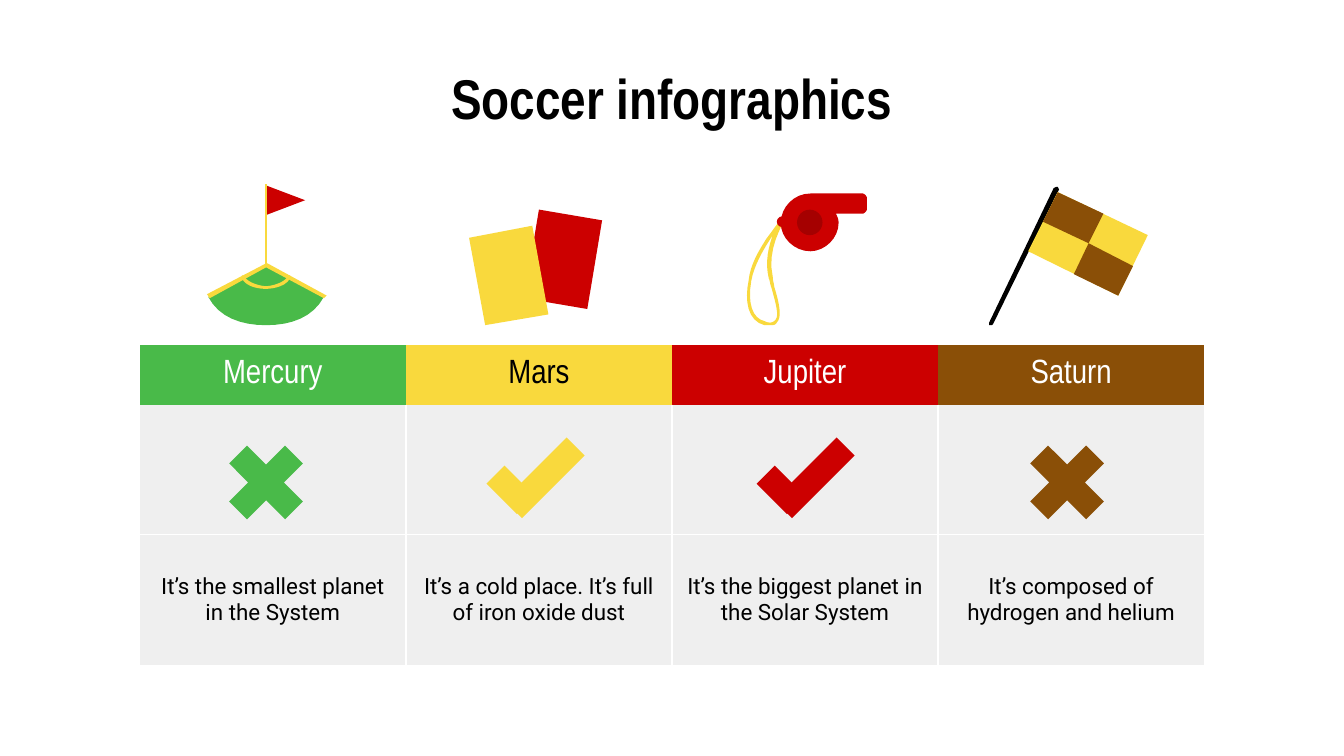
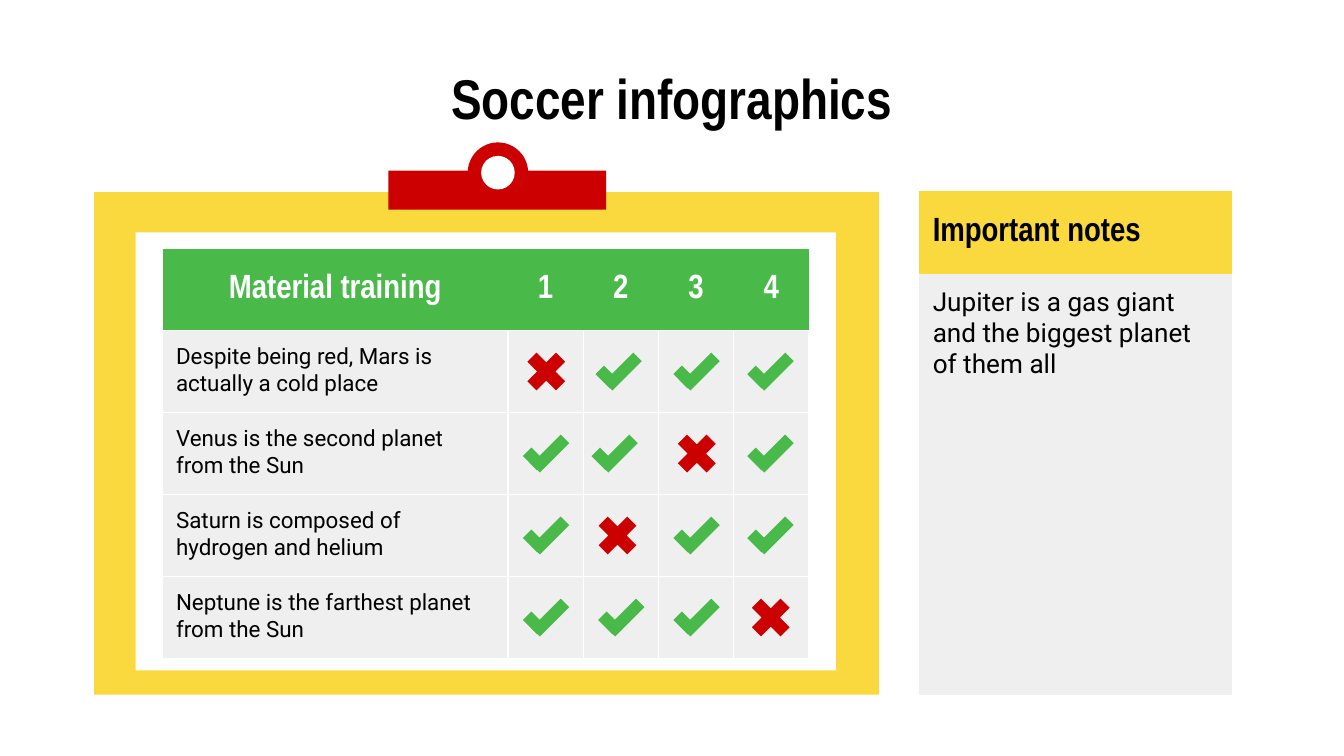
"""Build two soccer infographic slides: a planet comparison and a training clipboard."""
from dataclasses import dataclass
from lxml.etree import SubElement
from pptx import Presentation
from pptx.dml.color import RGBColor
from pptx.enum.shapes import MSO_SHAPE
from pptx.enum.text import MSO_ANCHOR, PP_ALIGN
from pptx.oxml.ns import qn
from pptx.util import Pt

PX = 9144
SLIDE_WIDTH = 1000 * PX
SLIDE_HEIGHT = SLIDE_WIDTH * 9 // 16
GREEN, YELLOW, RED, BROWN = "49BA49", "F9D93D", "CC0000", "8A4F07"
BLACK, WHITE, GREY = "000000", "FFFFFF", "EFEFEF"
HEADING_FONT, BODY_FONT = "Arial Narrow", "Roboto"
PLAIN_TABLE_STYLE = "{2D5ABB26-0587-4C30-8999-92F81FD0307C}"
TITLE = "Soccer infographics"

PLANETS = [
    ("Mercury", GREEN, WHITE, "It’s the smallest planet in the System"),
    ("Mars", YELLOW, BLACK, "It’s a cold place. It’s full of iron oxide dust"),
    ("Jupiter", RED, WHITE, "It’s the biggest planet in the Solar System"),
    ("Saturn", BROWN, WHITE, "It’s composed of hydrogen and helium"),
]
PLANET_MARKS = [("cross", 158, GREEN), ("check", 364, YELLOW), ("check", 565, RED), ("cross", 754, BROWN)]

TRAINING_HEADER = ["Material training", "1", "2", "3", "4"]
TRAINING = [
    ("Despite being red, Mars is actually a cold place",
     [("cross", 386), ("check", 444), ("check", 502), ("check", 557)]),
    ("Venus is the second planet from the Sun",
     [("check", 390), ("check", 441), ("cross", 498), ("check", 557)]),
    ("Saturn is composed of hydrogen and helium",
     [("check", 390), ("cross", 439), ("check", 502), ("check", 557)]),
    ("Neptune is the farthest planet from the Sun",
     [("check", 390), ("check", 446), ("check", 502), ("cross", 553)]),
]
NOTES = ("Important notes", "Jupiter is a gas giant and the biggest planet of them all")

CORNER_FLAG = [
    (GREEN, [[(198, 198), (155, 221), (163, 236, 179, 242, 198, 242), (217, 242, 233, 236, 241, 221)]]),
    (RED, [[(198, 138), (198, 160), (227, 149)]]),
    (YELLOW, [[(215, 205), (214, 206), (211, 211, 201, 213, 198, 213), (195, 213, 185, 211, 182, 206),
               (181, 205), (180, 205), (180, 207), (183, 214, 194, 215, 198, 215),
               (198, 215, 212, 215, 216, 207), (216, 205)]]),
    (YELLOW, [[(198, 196), (154, 219), (156, 222), (198, 199), (241, 222), (243, 220), (199, 196)]]),
    (YELLOW, [[(197, 137), (199, 137), (199, 199), (197, 199)]]),
]
WHISTLE = [
    (YELLOW, [
        [(575, 175), (572, 183, 569, 195, 572, 207), (573, 209, 573, 212, 574, 214),
         (577, 225, 580, 235, 577, 238), (576, 239, 575, 240, 573, 240), (572, 240, 571, 240, 569, 239),
         (560, 237, 556, 226, 559, 209), (561, 197, 569, 184, 575, 175)],
        [(581, 164), (580, 164, 576, 170, 570, 178), (565, 186, 558, 197, 557, 209),
         (554, 223, 556, 239, 569, 242), (570, 242, 572, 242, 573, 242), (575, 242, 577, 242, 578, 240),
         (582, 236, 580, 226, 576, 213), (576, 211, 575, 209, 575, 206), (570, 186, 583, 166, 583, 165)],
    ]),
    (RED, [[(603, 144), (591, 144, 581, 154, 581, 166), (581, 177, 591, 187, 603, 187),
            (614, 187, 624, 177, 624, 166), (624, 163, 623, 161, 622, 159), (642, 159),
            (643, 159, 645, 157, 645, 156), (645, 147), (645, 146, 643, 144, 642, 144)]]),
]
CHECKERED_FLAG = [
    (BLACK, [[(786, 139), (784, 140), (736, 240), (736, 242), (738, 242), (739, 241), (788, 141), (787, 139)]]),
    (YELLOW, [[(787, 143), (765, 187), (832, 220), (854, 175)]]),
    (BROWN, [[(810, 181), (799, 204), (832, 220), (843, 198)]]),
    (BROWN, [[(787, 143), (776, 165), (810, 181), (821, 159)]]),
]
CARDS = [
    (RED, [[(401, 156), (390, 222), (437, 230), (448, 164)]]),
    (YELLOW, [[(396, 168), (349, 177), (361, 242), (408, 234)]]),
]


@dataclass
class Cell:
    text: str = ""
    fill: str = GREY
    ink: str = BLACK
    font: str = BODY_FONT
    size: int = 12
    bold: bool = False
    align: PP_ALIGN = PP_ALIGN.LEFT
    anchor: MSO_ANCHOR = MSO_ANCHOR.TOP
    sides: str = "LRTB"
    bottom: int = 10


def heading(text, fill, ink, **options):
    return Cell(text, fill, ink, HEADING_FONT, 18, **options)


def color(value):
    return RGBColor.from_string(value)


def paint(shape, fill):
    shape.shadow.inherit = False
    shape.fill.solid()
    shape.fill.fore_color.rgb = color(fill)
    shape.line.fill.background()
    return shape


def add_preset(shapes, kind, left, top, width, height, fill, rotation=0):
    shape = shapes.add_shape(kind, *(round(length) * PX for length in (left, top, width, height)))
    shape.rotation = rotation
    return paint(shape, fill)


def trace(contour, steps=8):
    points = [contour[0]]
    for segment in contour[1:]:
        if len(segment) == 2:
            points.append(segment)
            continue
        controls = [points[-1], segment[:2], segment[2:4], segment[4:]]
        for step in range(1, steps + 1):
            t = step / steps
            weights = ((1 - t) ** 3, 3 * t * (1 - t) ** 2, 3 * t ** 2 * (1 - t), t ** 3)
            points.append(tuple(sum(w * c[axis] for w, c in zip(weights, controls)) for axis in (0, 1)))
    return [(x * PX, y * PX) for x, y in points]


def add_icon(slide, outlines):
    icon = slide.shapes.add_group_shape()
    for fill, contours in outlines:
        first, *others = [trace(contour) for contour in contours]
        builder = icon.shapes.build_freeform(*first[0], scale=1.0)
        builder.add_line_segments(first[1:], close=True)
        for points in others:
            builder.move_to(*points[0])
            builder.add_line_segments(points[1:], close=True)
        paint(builder.convert_to_shape(), fill)
    return icon


def add_check(slide, left, top, length, thickness, fill):
    mark = slide.shapes.add_group_shape()
    add_preset(mark.shapes, MSO_SHAPE.RECTANGLE, left + 0.12 * length, top, length, thickness, fill, 315)
    add_preset(mark.shapes, MSO_SHAPE.RECTANGLE, left, top + 0.47 * thickness, 0.48 * length, thickness, fill, 45)


def add_cross(slide, left, top, size, fill):
    cross = add_preset(slide.shapes, MSO_SHAPE.MATH_MULTIPLY, left, top, size, size, fill)
    cross.adjustments[0] = 0.235


def format_text(para, font, size, ink, bold):
    for span in para.runs:
        span.font.name = font
        span.font.size = Pt(size)
        span.font.bold = bold
        span.font.color.rgb = color(ink)


def fill_cell(target, cell):
    properties = target._tc.get_or_add_tcPr()
    for side in cell.sides:
        line = SubElement(properties, qn(f"a:ln{side}"), w=str(Pt(0.75)))
        SubElement(SubElement(line, qn("a:solidFill")), qn("a:srgbClr"), val=WHITE)
    target.fill.solid()
    target.fill.fore_color.rgb = color(cell.fill)
    target.margin_left = target.margin_right = target.margin_top = 10 * PX
    target.margin_bottom = cell.bottom * PX
    target.vertical_anchor = cell.anchor
    target.text_frame.text = cell.text
    para = target.text_frame.paragraphs[0]
    para.alignment = cell.align
    format_text(para, cell.font, cell.size, cell.ink, cell.bold)


def add_grid(slide, left, top, widths, heights, rows):
    frame = slide.shapes.add_table(len(heights), len(widths), left * PX, top * PX,
                                   sum(widths) * PX, sum(heights) * PX)
    table = frame.table
    table.first_row = table.horz_banding = False
    table._tbl.tblPr.find(qn("a:tableStyleId")).text = PLAIN_TABLE_STYLE
    for column, width in zip(table.columns, widths):
        column.width = width * PX
    for row, height, cells in zip(table.rows, heights, rows):
        row.height = height * PX
        for target, cell in zip(row.cells, cells):
            fill_cell(target, cell)


def add_title(slide):
    box = slide.shapes.add_textbox(78 * PX, 59 * PX, 844 * PX, 45 * PX)
    frame = box.text_frame
    frame.word_wrap = True
    frame.margin_left = frame.margin_right = frame.margin_top = frame.margin_bottom = 10 * PX
    frame.text = TITLE
    para = frame.paragraphs[0]
    para.alignment = PP_ALIGN.CENTER
    para.line_spacing = 0.5
    format_text(para, HEADING_FONT, 30, BLACK, True)


def build_planets(slide):
    add_title(slide)
    add_icon(slide, CORNER_FLAG)
    whistle = add_icon(slide, WHISTLE)
    add_preset(whistle.shapes, MSO_SHAPE.OVAL, 578, 161, 8, 8, RED)
    hole = add_preset(whistle.shapes, MSO_SHAPE.OVAL, 593, 156, 19, 19, BLACK)
    SubElement(hole._element.spPr.find(f"{qn('a:solidFill')}/{qn('a:srgbClr')}"), qn("a:alpha"), val="19000")
    add_icon(slide, CHECKERED_FLAG)
    add_icon(slide, CARDS)
    rows = [
        [heading(name, fill, ink, align=PP_ALIGN.CENTER, sides="", bottom=4) for name, fill, ink, _ in PLANETS],
        [Cell(sides="LRB") for _ in PLANETS],
        [Cell(fact, align=PP_ALIGN.CENTER, anchor=MSO_ANCHOR.MIDDLE) for *_, fact in PLANETS],
    ]
    add_grid(slide, 104, 257, [198] * len(PLANETS), [44, 97, 97], rows)
    for kind, left, fill in PLANET_MARKS:
        if kind == "check":
            add_check(slide, left, 346, 66, 19, fill)
        else:
            add_cross(slide, left, 319, 80, fill)


def build_training(slide):
    board = slide.shapes.add_group_shape().shapes
    add_preset(board, MSO_SHAPE.RECTANGLE, 70, 143, 584, 374, YELLOW)
    add_preset(board, MSO_SHAPE.RECTANGLE, 101, 173, 521, 326, WHITE)
    add_preset(board, MSO_SHAPE.RECTANGLE, 289, 127, 162, 29, RED)
    clip = add_preset(board, MSO_SHAPE.PIE, 348, 106, 45, 45, RED)
    clip.adjustments[0], clip.adjustments[1] = 107.854, 0.106
    add_preset(board, MSO_SHAPE.OVAL, 358, 116, 25, 25, WHITE)

    row_height = 61
    rows = [[heading(label, GREEN, WHITE, bold=True, align=PP_ALIGN.CENTER, anchor=MSO_ANCHOR.MIDDLE, sides="B")
             for label in TRAINING_HEADER]]
    rows += [[Cell(fact)] + [Cell() for _ in marks] for fact, marks in TRAINING]
    add_grid(slide, 121, 185, [257] + [56] * 4, [row_height] * len(rows), rows)
    add_title(slide)
    for index, (_, marks) in enumerate(TRAINING):
        shift = index * row_height
        for kind, left in marks:
            if kind == "check":
                add_check(slide, left, 272 + shift, 31, 9, GREEN)
            else:
                add_cross(slide, left, 256 + shift, 41, RED)

    label, note = NOTES
    add_grid(slide, 684, 142, [233], [62, 313], [
        [heading(label, YELLOW, BLACK, bold=True, anchor=MSO_ANCHOR.MIDDLE, sides="")],
        [Cell(note, size=14, sides="")],
    ])


def main():
    deck = Presentation()
    deck.slide_width, deck.slide_height = SLIDE_WIDTH, SLIDE_HEIGHT
    for build in (build_planets, build_training):
        build(deck.slides.add_slide(deck.slide_layouts[6]))
    deck.save("out.pptx")


if __name__ == "__main__":
    main()
